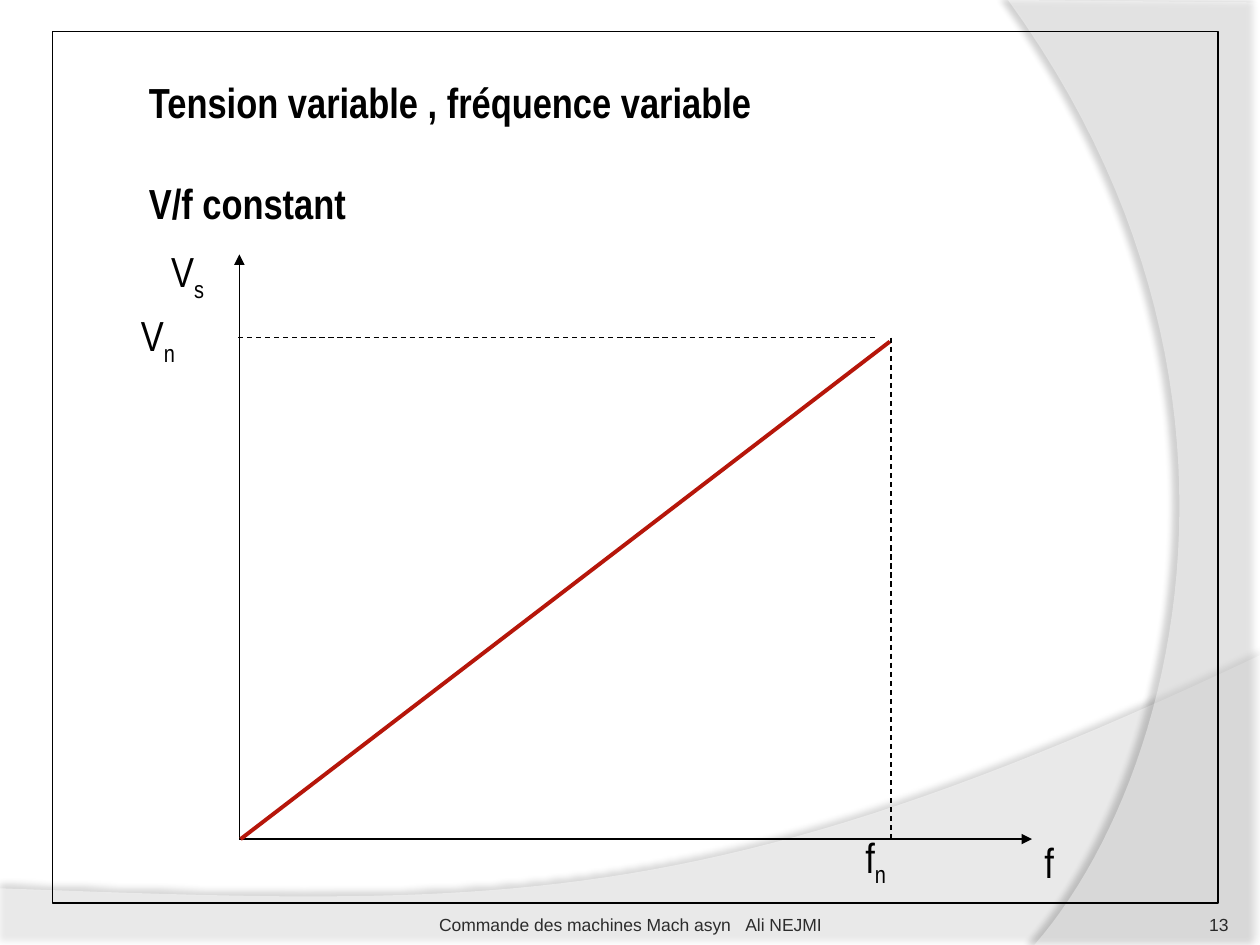
from dataclasses import dataclass

import pptx
import pptx.dml.color
import pptx.enum.dml
import pptx.enum.shapes
import pptx.enum.text
import pptx.oxml
import pptx.oxml.ns
import pptx.util

Pt = pptx.util.Pt
ALIGN = pptx.enum.text.PP_ALIGN
ANCHOR = pptx.enum.text.MSO_ANCHOR
NAMESPACE = pptx.oxml.ns.nsdecls("a")


@dataclass(frozen=True)
class Theme:
    white: str = "FFFFFF"
    black: str = "000000"
    red: str = "B6160A"
    number_grey: str = "292929"
    footer_grey: str = "2C2C2C"
    body_font: str = "Arial Narrow"
    footer_font: str = "Arial"
    body_size: float = 24
    footer_size: float = 10
    thin: float = 0.75
    thick: float = 2.25


def color(value):
    return pptx.dml.color.RGBColor.from_string(value)


def curve(start, first_control, second_control, end, steps=48):
    """Points along a cubic Bezier curve, both ends included."""
    points = []
    for step in range(steps + 1):
        t = step / steps
        weights = ((1 - t) ** 3, 3 * t * (1 - t) ** 2, 3 * t * t * (1 - t), t ** 3)
        corners = (start, first_control, second_control, end)
        points.append(tuple(sum(w * corner[axis] for w, corner in zip(weights, corners))
                            for axis in (0, 1)))
    return points


def add_text(paragraph, text, *, font, size, color_value, bold=False, subscript=False,
             spacing=0):
    run = paragraph.add_run()
    run.text = text
    run.font.name = font
    run.font.size = Pt(size)
    run.font.bold = bold
    run.font.color.rgb = color(color_value)
    properties = run._r.get_or_add_rPr()
    if subscript:
        properties.set("baseline", "-25000")
    if spacing:
        properties.set("spc", str(round(spacing * 100)))


class SlideBuilder:
    def __init__(self, slide, theme):
        self.slide = slide
        self.theme = theme

    def wave(self, points, opacity, shadow_opacity, distance, direction):
        """Translucent white area with a soft shadow."""
        start, *others = [(Pt(x), Pt(y)) for x, y in points]
        builder = self.slide.shapes.build_freeform(*start, scale=1.0)
        builder.add_line_segments(others, close=True)
        shape = builder.convert_to_shape()
        shape.fill.solid()
        shape.fill.fore_color.rgb = color(self.theme.white)
        shape.line.fill.background()
        properties = shape._element.spPr
        fill_color = properties.find(".//" + pptx.oxml.ns.qn("a:srgbClr"))
        fill_color.append(pptx.oxml.parse_xml(
            f'<a:alpha {NAMESPACE} val="{opacity * 1000}"/>'))
        properties.append(pptx.oxml.parse_xml(
            f'<a:effectLst {NAMESPACE}><a:outerShdw blurRad="{Pt(4)}" '
            f'dist="{Pt(distance)}" dir="{direction * 60000}" algn="ctr" rotWithShape="0">'
            f'<a:srgbClr val="{self.theme.black}"><a:alpha val="{shadow_opacity * 1000}"/>'
            '</a:srgbClr></a:outerShdw></a:effectLst>'))

    def frame(self, left, top, width, height):
        shape = self.slide.shapes.add_shape(
            pptx.enum.shapes.MSO_SHAPE.RECTANGLE, Pt(left), Pt(top), Pt(width), Pt(height))
        shape.shadow.inherit = False
        shape.fill.background()
        shape.line.color.rgb = color(self.theme.black)
        shape.line.width = Pt(self.theme.thin)

    def line(self, start, end, line_color=None, width=None, dashed=False, arrow=False):
        connector = self.slide.shapes.add_connector(
            pptx.enum.shapes.MSO_CONNECTOR.STRAIGHT, *map(Pt, start), *map(Pt, end))
        connector.line.color.rgb = color(line_color or self.theme.black)
        connector.line.width = Pt(width or self.theme.thin)
        if dashed:
            connector.line.dash_style = pptx.enum.dml.MSO_LINE.DASH
        if arrow:
            connector.line._get_or_add_ln().append(
                pptx.oxml.parse_xml(f'<a:tailEnd {NAMESPACE} type="triangle"/>'))
        connector._element.spPr.append(pptx.oxml.parse_xml(f'<a:effectLst {NAMESPACE}/>'))

    def text_frame(self, left, top, width, height, wrap=True):
        box = self.slide.shapes.add_textbox(Pt(left), Pt(top), Pt(width), Pt(height))
        box.text_frame.word_wrap = wrap
        return box.text_frame

    def heading(self, lines, left, top, width, height, gap):
        frame = self.text_frame(left, top, width, height)
        for index, text in enumerate(lines):
            paragraph = frame.add_paragraph() if index else frame.paragraphs[0]
            paragraph.space_before = Pt(gap if index else 0)
            add_text(paragraph, text, font=self.theme.body_font, size=self.theme.body_size,
                     color_value=self.theme.black, bold=True)

    def symbol(self, letter, index, left, top, width):
        paragraph = self.text_frame(left, top, width, 36, wrap=False).paragraphs[0]
        for text, subscript in ((letter, False), (index, True)):
            if text:
                add_text(paragraph, text, font=self.theme.body_font,
                         size=self.theme.body_size, color_value=self.theme.black,
                         subscript=subscript)

    def footer(self, parts, left, width, alignment, text_color, top_inset=0):
        """Bottom text; parts are pairs of text and extra letter spacing."""
        frame = self.text_frame(left, 505.5, width, 28.8)
        frame.margin_left = frame.margin_right = frame.margin_bottom = 0
        frame.margin_top = Pt(top_inset)
        frame.vertical_anchor = ANCHOR.BOTTOM
        paragraph = frame.paragraphs[0]
        paragraph.alignment = alignment
        for text, spacing in parts:
            add_text(paragraph, text, font=self.theme.footer_font,
                     size=self.theme.footer_size, color_value=text_color, spacing=spacing)


def main():
    theme = Theme()
    presentation = pptx.Presentation()
    presentation.slide_width, presentation.slide_height = Pt(720), Pt(540)
    slide = presentation.slides.add_slide(presentation.slide_layouts[6])
    builder = SlideBuilder(slide, theme)

    bottom_edge = curve((720, 374.4), (402.5, 524.9), (281.5, 517.7), (0, 507.6))
    builder.wave([(0, 540.7), (720, 540.7)] + bottom_edge, 45, 35, 3.5, 270)
    right_edge = curve((591.1, 540), (673.2, 445.7), (733, 216), (576, 0))
    builder.wave([(720, 1.4), (720, 540)] + right_edge, 40, 45, 4, 180)
    builder.frame(30, 18, 666, 498)

    builder.heading(("Tension variable , fréquence variable", "V/f constant"),
                    78, 40.3, 468, 94.3, gap=29)

    origin_x, origin_y = 136.8, 479.5
    nominal_x, nominal_y = 509.2, 193
    builder.line((origin_x, origin_y), (origin_x, 145.4), arrow=True)
    builder.line((origin_x, origin_y), (589.7, origin_y), arrow=True)
    builder.line((137.5, origin_y), (508.5, 195.2), theme.red, theme.thick)
    builder.line((136.1, nominal_y), (501.1, nominal_y), dashed=True)
    builder.line((nominal_x, nominal_y), (nominal_x, origin_y), dashed=True)

    for letter, index, left, top, width in (
            ("V", "n", 73.4, 173.5, 40.3), ("f", "n", 487.4, 471.6, 70.6),
            ("V", "s", 90.7, 136.8, 38.2), ("f", "", 589.7, 474.5, 22.3)):
        builder.symbol(letter, index, left, top, width)

    builder.footer([("13", 0)], 642.2, 59.8, ALIGN.RIGHT, theme.number_grey)
    builder.footer([("Commande des machines Mach asyn", 0), (" ", 5.56), ("Ali NEJMI", 0)],
                   246.2, 228.2, ALIGN.CENTER, theme.footer_grey, top_inset=3.6)

    presentation.save("out.pptx")


if __name__ == "__main__":
    main()
